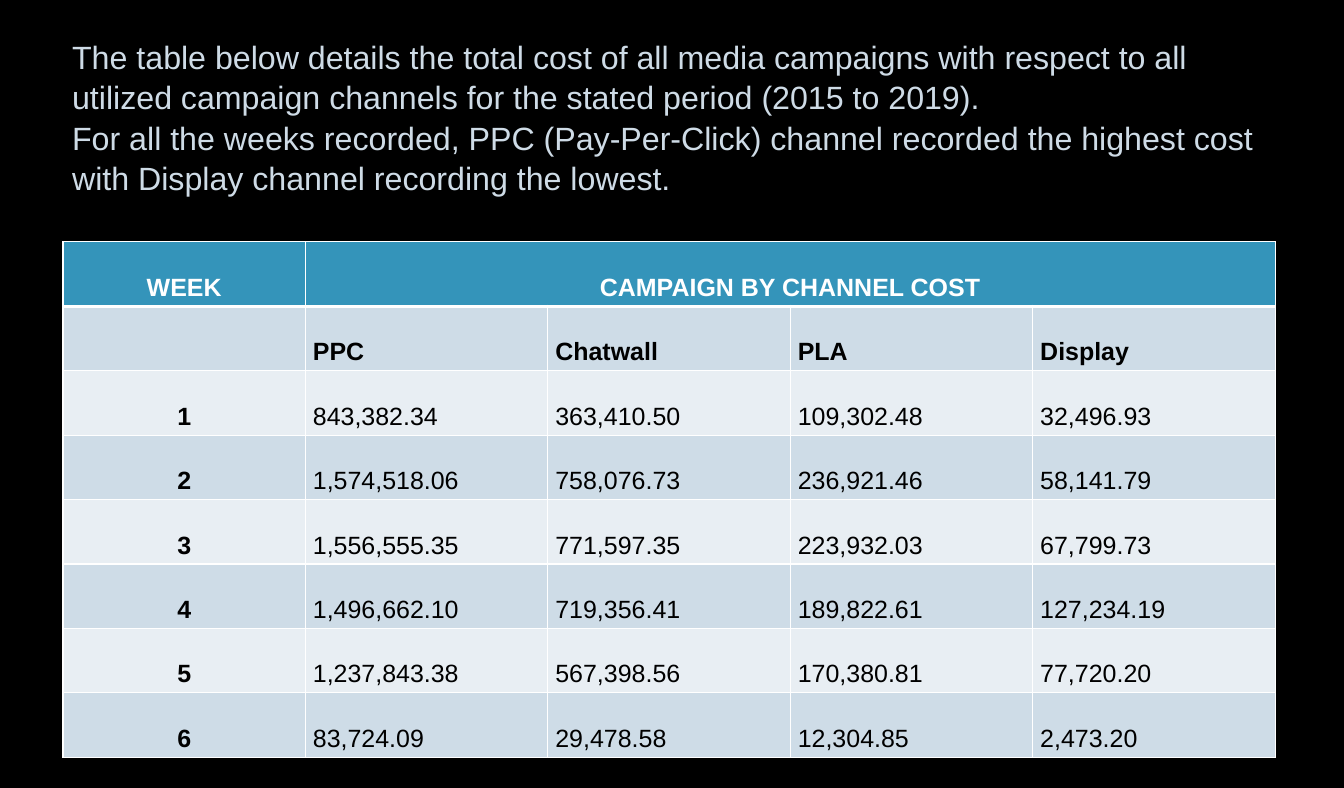
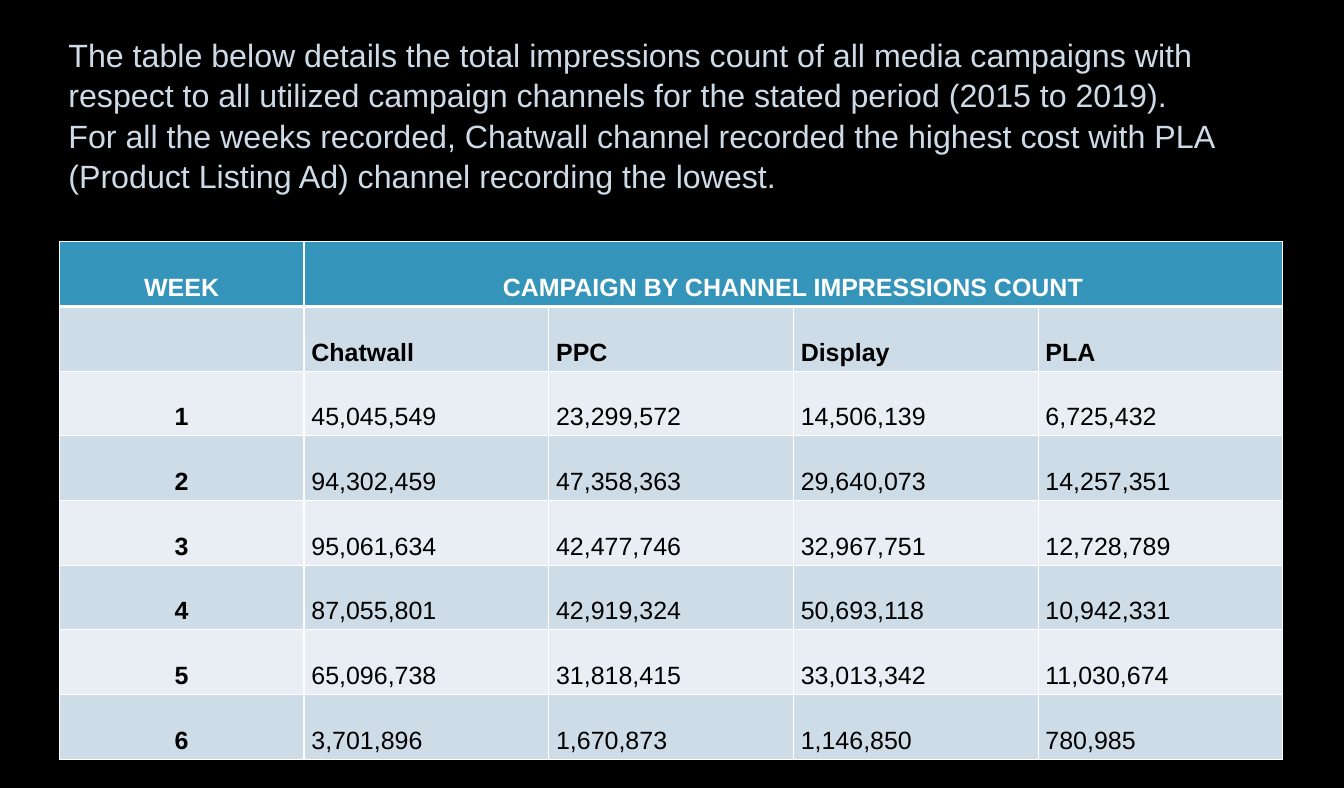
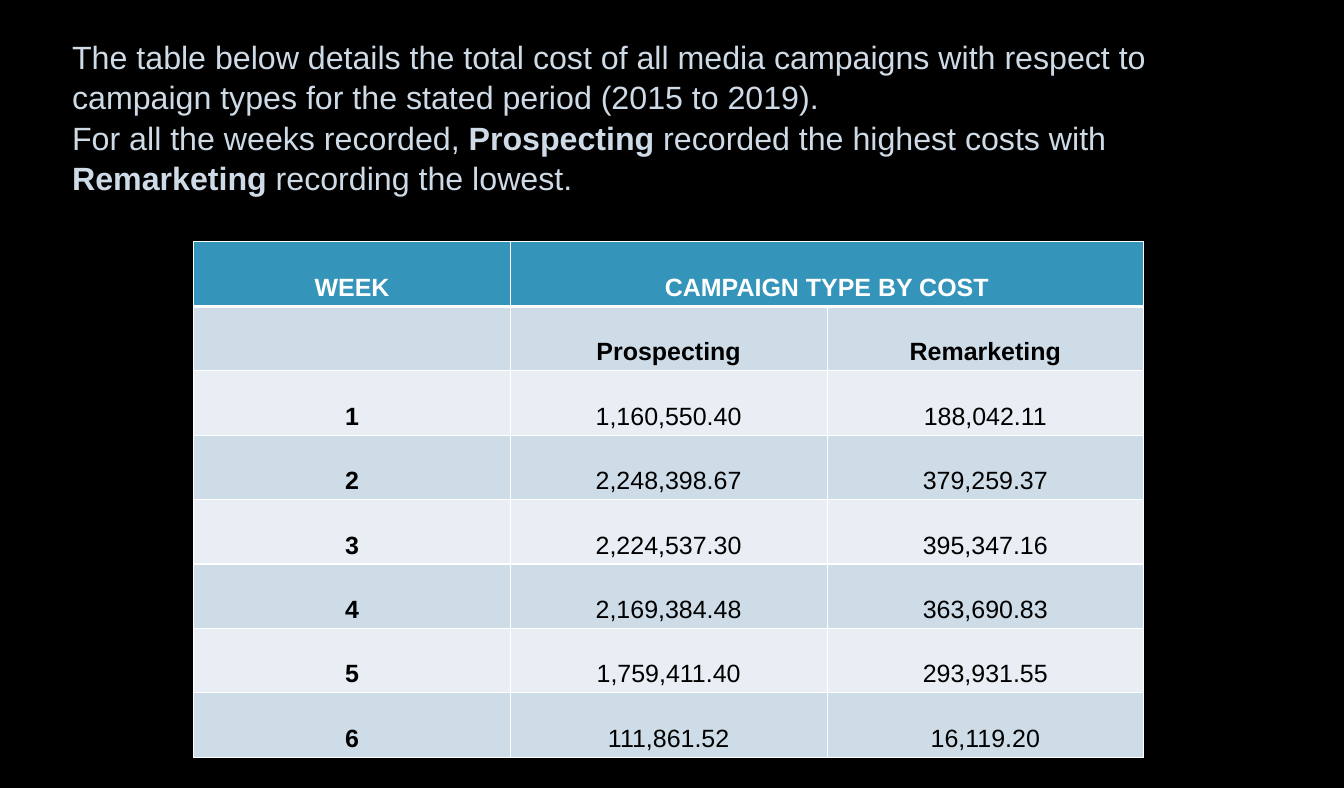
from lxml import etree
from pptx import Presentation
from pptx import util as u
from pptx.dml.color import RGBColor
from pptx.enum import text
from pptx.oxml.ns import qn

px = 9144
white, black, pale, blue = "FFFFFF", "000000", "CEDBE6", "3494BA"
bands = ["CEDCE7", "E8EEF3"]
rows = 8


def style(font, size, tone, bold):
    font.name = "Arial"
    font.size = u.Pt(size)
    font.bold = bold
    font.color.rgb = RGBColor.from_string(tone)


def edge(cell, side, width):
    line = etree.SubElement(cell._tc.get_or_add_tcPr(), qn("a:ln" + side), w=str(u.Pt(width)))
    fill = etree.SubElement(line, qn("a:solidFill"))
    etree.SubElement(fill, qn("a:srgbClr"), val=white)


pages = [
    {
        "intro": (68, 33, 1308),
        "lines": [
            "The table below details the total cost of all media campaigns with respect to all utilized campaign channels for the stated period (2015 to 2019).",
            "For all the weeks recorded, PPC (Pay-Per-Click) channel recorded the highest cost with Display channel recording the lowest.",
        ],
        "grid": (68, 261, 1308, 556),
        "head": "CAMPAIGN BY CHANNEL COST",
        "align": text.PP_ALIGN.LEFT,
        "data": [
            ["PPC", "Chatwall", "PLA", "Display"],
            ["843,382.34", "363,410.50", "109,302.48", "32,496.93"],
            ["1,574,518.06", "758,076.73", "236,921.46", "58,141.79"],
            ["1,556,555.35", "771,597.35", "223,932.03", "67,799.73"],
            ["1,496,662.10", "719,356.41", "189,822.61", "127,234.19"],
            ["1,237,843.38", "567,398.56", "170,380.81", "77,720.20"],
            ["83,724.09", "29,478.58", "12,304.85", "2,473.20"],
        ],
    },
    {
        "intro": (64, 31, 1320),
        "lines": [
            "The table below details the total impressions count of all media campaigns with respect to all utilized campaign channels for the stated period (2015 to 2019).",
            "For all the weeks recorded, Chatwall channel recorded the highest cost with PLA (Product Listing Ad) channel recording the lowest.",
        ],
        "grid": (64, 261, 1320, 558),
        "head": "CAMPAIGN BY CHANNEL IMPRESSIONS COUNT",
        "align": text.PP_ALIGN.LEFT,
        "data": [
            ["Chatwall", "PPC", "Display", "PLA"],
            ["45,045,549", "23,299,572", "14,506,139", "6,725,432"],
            ["94,302,459", "47,358,363", "29,640,073", "14,257,351"],
            ["95,061,634", "42,477,746", "32,967,751", "12,728,789"],
            ["87,055,801", "42,919,324", "50,693,118", "10,942,331"],
            ["65,096,738", "31,818,415", "33,013,342", "11,030,674"],
            ["3,701,896", "1,670,873", "1,146,850", "780,985"],
        ],
    },
    {
        "intro": (68, 33, 1308),
        "lines": [
            "The table below details the total cost of all media campaigns with respect to campaign types for the stated period (2015 to 2019).",
            "For all the weeks recorded, *Prospecting* recorded the highest costs with *Remarketing* recording the lowest.",
        ],
        "grid": (209, 261, 1025, 556),
        "head": "CAMPAIGN TYPE BY COST",
        "align": text.PP_ALIGN.CENTER,
        "data": [
            ["Prospecting", "Remarketing"],
            ["1,160,550.40", "188,042.11"],
            ["2,248,398.67", "379,259.37"],
            ["2,224,537.30", "395,347.16"],
            ["2,169,384.48", "363,690.83"],
            ["1,759,411.40", "293,931.55"],
            ["111,861.52", "16,119.20"],
        ],
    },
]

deck = Presentation()
deck.slide_width, deck.slide_height = 1450 * px, 850 * px
back = deck.slide_master.background.fill
back.solid()
back.fore_color.rgb = RGBColor.from_string(black)

for page in pages:
    slide = deck.slides.add_slide(deck.slide_layouts[6])

    left, top, wide, high = [n * px for n in page["grid"]]
    cols = len(page["data"][0]) + 1
    table = slide.shapes.add_table(rows, cols, left, top, wide, high).table
    for col in table.columns:
        col.width = wide // cols
    for row in table.rows:
        row.height = high // rows
    table.cell(0, 1).merge(table.cell(0, cols - 1))

    cells = [["WEEK", page["head"]] + [""] * (cols - 2)]
    for week, nums in enumerate(page["data"]):
        cells.append([str(week or "")] + nums)

    for r, words in enumerate(cells):
        for c, word in enumerate(words):
            cell = table.cell(r, c)
            cell.vertical_anchor = text.MSO_ANCHOR.BOTTOM
            cell.margin_left = cell.margin_right = 8 * px
            for side in "LRTB":
                thick = (r, side) in [(0, "B"), (1, "T")]
                edge(cell, side, 3 if thick else 1)
            cell.fill.solid()
            tone = bands[(r + 1) % 2] if r == 0 else bands[(r - 1) % 2]
            cell.fill.fore_color.rgb = RGBColor.from_string(blue if r == 0 else tone)
            if word:
                cell.text_frame.text = word
                para = cell.text_frame.paragraphs[0]
                para.alignment = text.PP_ALIGN.CENTER if r == 0 or c == 0 else page["align"]
                style(para.runs[0].font, 19.4, white if r == 0 else black, r < 2 or c == 0)

    left, top, wide = [n * px for n in page["intro"]]
    frame = slide.shapes.add_textbox(left, top, wide, 178 * px).text_frame
    frame.word_wrap = True
    frame.auto_size = text.MSO_AUTO_SIZE.SHAPE_TO_FIT_TEXT
    for i, line in enumerate(page["lines"]):
        para = frame.add_paragraph() if i else frame.paragraphs[0]
        para.line_spacing = 1.05
        for k, part in enumerate(line.split("*")):
            run = para.add_run()
            run.text = part
            style(run.font, 25, pale, k % 2 == 1)

deck.save("out.pptx")
